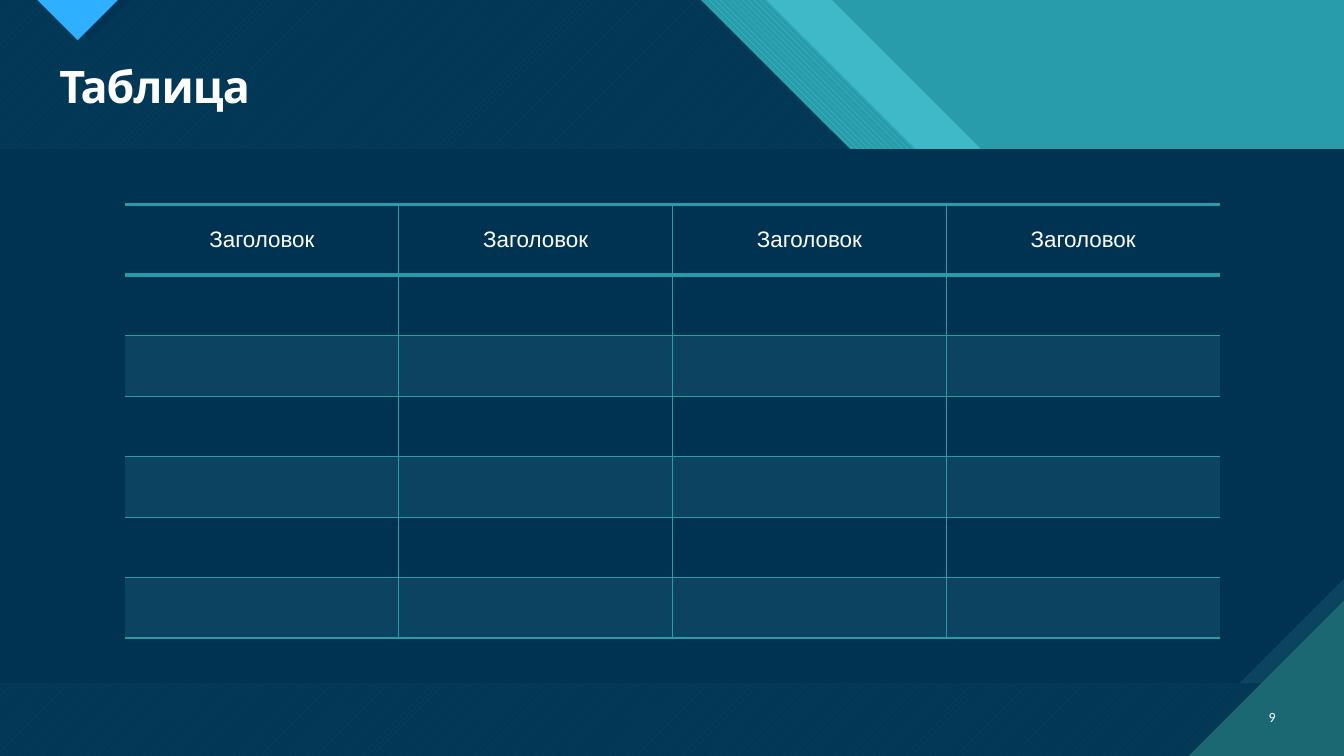
from lxml import etree
from pptx import Presentation
from pptx.dml.color import RGBColor
from pptx.enum.dml import MSO_PATTERN_TYPE as Pattern
from pptx.enum.shapes import MSO_SHAPE as Shape
from pptx.enum.text import MSO_ANCHOR as Anchor, PP_ALIGN as Align
from pptx.oxml.ns import qn
from pptx.util import Inches, Pt

WHITE = RGBColor(0xFF, 0xFF, 0xFF)
NAVY = RGBColor(0x00, 0x33, 0x52)
STEEL = RGBColor(0x0C, 0x43, 0x60)
TEAL = RGBColor(0x29, 0x9C, 0xAB)
AQUA = RGBColor(0x47, 0xC3, 0xD3)
PINE = RGBColor(0x1B, 0x68, 0x72)
SKY = RGBColor(0x2F, 0xAF, 0xFF)

WIDTH, HEIGHT = 13.33, 7.5
HEADINGS = ["Заголовок"] * 4
BODY_ROWS = 6


def paint(shape, color, opacity=100):
    shape.shadow.inherit = False
    shape.line.fill.background()
    shape.fill.solid()
    shape.fill.fore_color.rgb = color
    if opacity < 100:
        tint = shape.fill._xPr.find(qn("a:solidFill"))[0]
        etree.SubElement(tint, qn("a:alpha")).set("val", str(opacity * 1000))


def hatch(shape, pattern, front, back):
    shape.fill.patterned()
    shape.fill.pattern = pattern
    shape.fill.fore_color.rgb = front
    shape.fill.back_color.rgb = back


def add_polygon(page, points, color, opacity=100):
    corners = [(Inches(x), Inches(y)) for x, y in points]
    builder = page.shapes.build_freeform(*corners[0])
    builder.add_line_segments(corners[1:], close=True)
    shape = builder.convert_to_shape()
    paint(shape, color, opacity)
    return shape


def add_text(page, box, text, font_name, size, align=Align.LEFT):
    frame = page.shapes.add_textbox(*map(Inches, box)).text_frame
    frame.word_wrap = True
    frame.vertical_anchor = Anchor.MIDDLE
    para = frame.paragraphs[0]
    para.text = text
    para.alignment = align
    para.font.name, para.font.size = font_name, Pt(size)
    para.font.color.rgb = WHITE
    return para


def add_backdrop(page, box):
    """Layers that share a slanted right edge, each starting further left."""
    left, top, width, height = box
    right, bottom, drop = left + width, top + height, 2.97

    def layer(edge, color, opacity=100):
        return add_polygon(page, [
            (left, top), (left + edge, top), (left + edge + drop, top + drop),
            (right, top + drop), (right, bottom), (left, bottom)], color, opacity)

    layer(8.25, AQUA, 74)
    hatch(layer(7.6, AQUA), Pattern.WIDE_DOWNWARD_DIAGONAL, AQUA, TEAL)
    hatch(layer(6.95, AQUA), Pattern.WIDE_UPWARD_DIAGONAL, AQUA, PINE)
    layer(6.95, NAVY, 90)


def add_panel(page, box):
    """Central panel with its lower right corner cut off."""
    left, top, width, height = box
    right, bottom, cut = left + width, top + height, 1.04
    paint(page.shapes.add_shape(Shape.RECTANGLE, *map(Inches, box)), STEEL)
    add_polygon(page, [(left, top), (right, top), (right, bottom - cut),
                       (right - cut, bottom), (left, bottom)], NAVY)


def add_pointer(page, box):
    """Downward triangle with a darker one behind it."""
    left, top, width, height = box
    for shift, color in ((0.12, NAVY), (0, SKY)):
        start = left + shift
        add_polygon(page, [(start, top), (start + width, top),
                           (start + width / 2, top + height)], color)


def add_page_corner(page, box, number):
    left, top, width, height = box
    right, bottom = left + width, top + height
    add_polygon(page, [(left, bottom), (right, bottom), (right, top)], PINE)
    add_text(page, (right - 1.02, bottom - 0.59, 0.44, 0.4), number,
             "Calibri", 10, Align.RIGHT)


def add_title(page, box, text):
    para = add_text(page, box, text, "Cabin", 32)
    para.font.bold = True
    para.line_spacing = 0.9
    para.runs[0]._r.get_or_add_rPr().set("spc", "-70")


def set_border(cell, side, points):
    line = etree.SubElement(cell._tc.get_or_add_tcPr(), qn(f"a:ln{side}"))
    line.set("w", str(Pt(points)))
    if points:
        fill = etree.SubElement(line, qn("a:solidFill"))
        etree.SubElement(fill, qn("a:srgbClr")).set("val", str(TEAL))
    else:
        etree.SubElement(line, qn("a:noFill"))


def add_grid(page, box):
    left, top, width, height = box
    columns, header_height = len(HEADINGS), 0.7
    table = page.shapes.add_table(BODY_ROWS + 1, columns, *map(Inches, box)).table
    table.first_row = table.horz_banding = False
    for column in table.columns:
        column.width = Inches(width / columns)
    for index, row in enumerate(table.rows):
        body_height = (height - header_height) / BODY_ROWS
        row.height = Inches(body_height if index else header_height)
        for position, cell in enumerate(row.cells):
            # Open sides, thick rules around the header row
            set_border(cell, "L", 1 if position else 0)
            set_border(cell, "R", 1 if position < columns - 1 else 0)
            set_border(cell, "T", 3 if index < 2 else 1)
            set_border(cell, "B", 1 if index else 3)
            if index and index % 2 == 0:
                cell.fill.solid()
                cell.fill.fore_color.rgb = STEEL
            else:
                cell.fill.background()
    for cell, heading in zip(table.rows[0].cells, HEADINGS):
        cell.vertical_anchor = Anchor.MIDDLE
        para = cell.text_frame.paragraphs[0]
        para.text = heading
        para.alignment = Align.CENTER
        para.font.name, para.font.size = "Arial", Pt(16)
        para.font.color.rgb = WHITE


def main():
    deck = Presentation()
    deck.slide_width, deck.slide_height = Inches(WIDTH), Inches(HEIGHT)
    page = deck.slides.add_slide(deck.slide_layouts[6])
    page.background.fill.solid()
    page.background.fill.fore_color.rgb = TEAL

    # Decoration
    add_backdrop(page, (0, 0, WIDTH, HEIGHT))
    add_pointer(page, (0.37, 0, 0.8, 0.4))
    add_panel(page, (0, 1.48, WIDTH, 5.3))
    add_page_corner(page, (WIDTH - 1.54, HEIGHT - 1.54, 1.54, 1.54), "9")

    # Content
    add_title(page, (0.49, 0.59, 12.26, 0.59), "Таблица")
    add_grid(page, (1.24, 2.03, 10.86, 4.3))
    deck.save("out.pptx")


if __name__ == "__main__":
    main()
